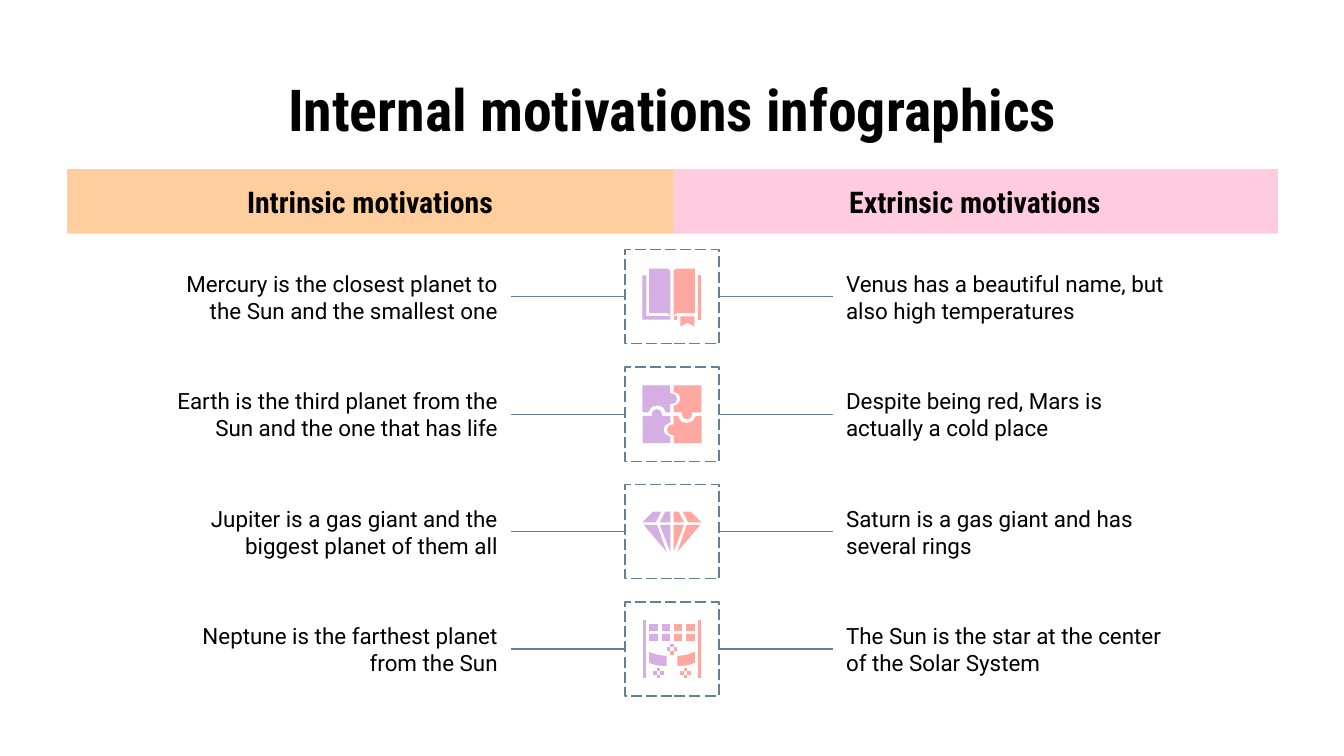
from lxml.etree import SubElement
from pptx import Presentation
from pptx.dml.color import RGBColor
from pptx.enum.dml import MSO_LINE
from pptx.enum.shapes import MSO_CONNECTOR, MSO_SHAPE
from pptx.enum.text import MSO_ANCHOR, PP_ALIGN
from pptx.oxml.ns import qn
from pptx.util import Cm, Pt

BLACK = RGBColor(0x00, 0x00, 0x00)
SLATE = RGBColor(0x63, 0x80, 0x97)
PEACH = RGBColor(0xFF, 0xCE, 0x9E)
PINK = RGBColor(0xFF, 0xCB, 0xDE)
LILAC = RGBColor(0xD5, 0xAE, 0xE4)
CORAL = RGBColor(0xFF, 0xA7, 0xA1)

CENTER = 12.7
FIRST_ROW = 5.61
ROW_PITCH = 2.22
FRAME = 1.78
LINE_LENGTH = 2.15
TEXT_WIDTH = 6.68
TEXT_HEIGHT = 1.47


def write(shape, text, font_name, size, alignment, anchor, bold=False):
    frame = shape.text_frame
    frame.word_wrap = True
    frame.vertical_anchor = anchor
    frame.margin_left = frame.margin_right = Cm(0.25)
    frame.margin_top = frame.margin_bottom = Cm(0.25)
    paragraph = frame.paragraphs[0]
    paragraph.text = text
    paragraph.alignment = alignment
    paragraph.font.name = font_name
    paragraph.font.size = Pt(size)
    paragraph.font.bold = bold
    paragraph.font.color.rgb = BLACK


def box(left, top, right, bottom):
    return [(left, top), (left, bottom), (right, bottom), (right, top)]


presentation = Presentation()
presentation.slide_width = Cm(25.4)
presentation.slide_height = Cm(14.29)
slide = presentation.slides.add_slide(presentation.slide_layouts[6])

title = slide.shapes.add_textbox(Cm(1.26), Cm(1.14), Cm(22.88), Cm(1.57))
write(title, "Internal motivations infographics", "Roboto Condensed", 31,
      PP_ALIGN.CENTER, MSO_ANCHOR.TOP, True)

headers = [("Extrinsic motivations", 12.7, PINK), ("Intrinsic motivations", 1.27, PEACH)]
for text, left, color in headers:
    header = slide.shapes.add_shape(MSO_SHAPE.RECTANGLE, Cm(left), Cm(3.2), Cm(11.45), Cm(1.22))
    header.shadow.inherit = False
    header.fill.solid()
    header.fill.fore_color.rgb = color
    header.line.fill.background()
    write(header, text, "Roboto Condensed", 16, PP_ALIGN.CENTER, MSO_ANCHOR.MIDDLE, True)

rows = [
    ("Mercury is the closest planet to the Sun and the smallest one",
     "Venus has a beautiful name, but also high temperatures"),
    ("Earth is the third planet from the Sun and the one that has life",
     "Despite being red, Mars is actually a cold place"),
    ("Jupiter is a gas giant and the biggest planet of them all",
     "Saturn is a gas giant and has several rings"),
    ("Neptune is the farthest planet from the Sun",
     "The Sun is the star at the center of the Solar System"),
]
inner = FRAME / 2
outer = inner + LINE_LENGTH
for index, (intrinsic, extrinsic) in enumerate(rows):
    middle = FIRST_ROW + index * ROW_PITCH
    frame = slide.shapes.add_shape(MSO_SHAPE.RECTANGLE, Cm(CENTER - inner), Cm(middle - inner),
                                   Cm(FRAME), Cm(FRAME))
    frame.shadow.inherit = False
    frame.fill.background()
    frame.line.color.rgb = SLATE
    frame.line.width = Pt(0.75)
    frame.line.dash_style = MSO_LINE.LONG_DASH
    sides = [
        (intrinsic, CENTER - outer - TEXT_WIDTH, CENTER - outer, PP_ALIGN.RIGHT),
        (extrinsic, CENTER + outer, CENTER + inner, PP_ALIGN.LEFT),
    ]
    for text, text_left, line_left, alignment in sides:
        description = slide.shapes.add_textbox(Cm(text_left), Cm(middle - TEXT_HEIGHT / 2),
                                               Cm(TEXT_WIDTH), Cm(TEXT_HEIGHT))
        write(description, text, "Roboto", 12, alignment, MSO_ANCHOR.MIDDLE)
        line = slide.shapes.add_connector(MSO_CONNECTOR.STRAIGHT, Cm(line_left), Cm(middle),
                                          Cm(line_left + LINE_LENGTH), Cm(middle))
        line.line.color.rgb = SLATE
        line.line.width = Pt(0.75)
        SubElement(line._element.spPr, qn("a:effectLst"))

BOOK, PUZZLE, DIAMOND, BANNER = range(4)
page = [(-17, -21), (-17, 12), (-4, 12), (-2.3, 12.7), (-1.2, 14.5),
        (-1.2, -18.8), (-2.2, -20.4), (-4, -21)]
facets = [
    [(-14, -15), (-22, -7), (-12, -7), (-8, -15)],
    [(-5, -15), (-9, -7), (-1.2, -7), (-1.2, -15)],
    [(-21, -5), (-4, 15), (-11, -5)],
    [(-9, -5), (-1.2, 15), (-1.2, -5)],
]
banner_half = [
    box(-21.8, -22, -19.2, 21.5),
    [(-17, 2), (-17, 10.2), (-13, 11.6), (-9, 12.3), (-4, 12.6), (-4, 5), (-5, 5), (-11, 4.2)],
    box(-11.3, 14, -8.7, 16.5), box(-11.3, 19, -8.7, 21.5),
    box(-8.7, 16.5, -6.2, 19), box(-13.8, 16.5, -11.3, 19),
] + [box(x, y, x + 6.4, y + 5.4) for x in (-16.8, -7.7) for y in (-19, -11.6)]
top_left_piece = [
    (-22, -21.5), (-22, -1.3), (-18, -1.3), (-17, -2.5), (-15.7, -4.7), (-14, -5.9),
    (-11, -6.5), (-8, -5.9), (-6.3, -4.7), (-5, -2.5), (-4.7, -1.3), (-1.3, -1.3),
    (-1.3, -7.7), (0, -7.6), (2.6, -8.6), (3.7, -11.5), (2.6, -14.4), (0, -15.5),
    (-1.3, -15.4), (-1.3, -21.5),
]
top_right_piece = [
    (1.2, -21.5), (1.2, -16.5), (2.4, -16.3), (5.2, -14.6), (6.2, -11.5), (5.2, -8.4),
    (2.4, -6.7), (1.2, -6.5), (1.2, -1.3), (7.5, -1.3), (7.5, 0), (8.5, 2.6),
    (11.3, 3.8), (14.1, 2.6), (15, 0), (15, -1.3), (21.8, -1.3), (21.8, -21.5),
]

icon_parts = [
    (BOOK, LILAC, [(-22, -16), (-22, 17), (-1.2, 17), (-1.2, 14.5), (-19, 14.5), (-19, -16)]),
    (BOOK, CORAL, box(1.2, 14.5, 3.9, 17)),
    (BOOK, CORAL, box(19.2, -16, 21.8, 17)),
    (BOOK, CORAL, [(6.3, 14.5), (6.3, 22), (11.5, 19.3), (16.7, 22), (16.7, 14.5)]),
    (BANNER, LILAC, box(-1.3, -4, 1.3, -1.3)),
    (BANNER, LILAC, box(-3.9, -1.3, -1.3, 1.3)),
    (BANNER, CORAL, box(1.3, -1.3, 3.9, 1.3)),
    (BANNER, CORAL, box(-1.3, 1.3, 1.3, 4)),
]
mirrored = [(BOOK, page)]
mirrored += [(DIAMOND, facet) for facet in facets]
mirrored += [(BANNER, part) for part in banner_half]
for row, points in mirrored:
    icon_parts.append((row, LILAC, points))
    icon_parts.append((row, CORAL, [(-x, y) for x, y in points]))
for points, color, turned_color in [(top_left_piece, LILAC, CORAL), (top_right_piece, CORAL, LILAC)]:
    icon_parts.append((PUZZLE, color, points))
    icon_parts.append((PUZZLE, turned_color, [(-x, -y) for x, y in points]))

for row, color, points in icon_parts:
    grid = [(round(x * 10), round(y * 10)) for x, y in points]
    builder = slide.shapes.build_freeform(*grid[0], scale=Cm(2.54) / 1000)
    builder.add_line_segments(grid[1:], close=True)
    part = builder.convert_to_shape(Cm(CENTER), Cm(FIRST_ROW + row * ROW_PITCH))
    part.shadow.inherit = False
    part.fill.solid()
    part.fill.fore_color.rgb = color
    part.line.fill.background()

presentation.save("out.pptx")
